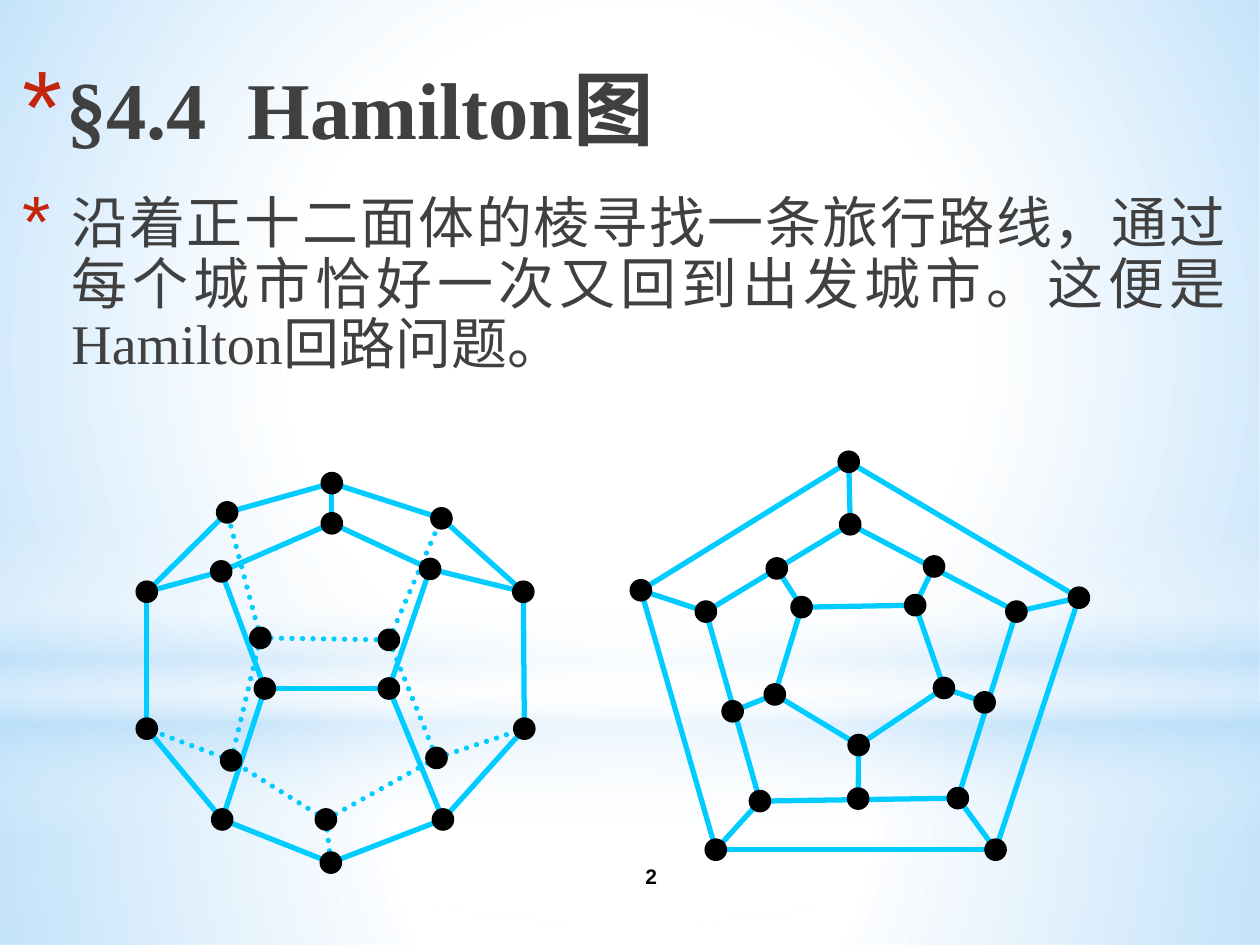
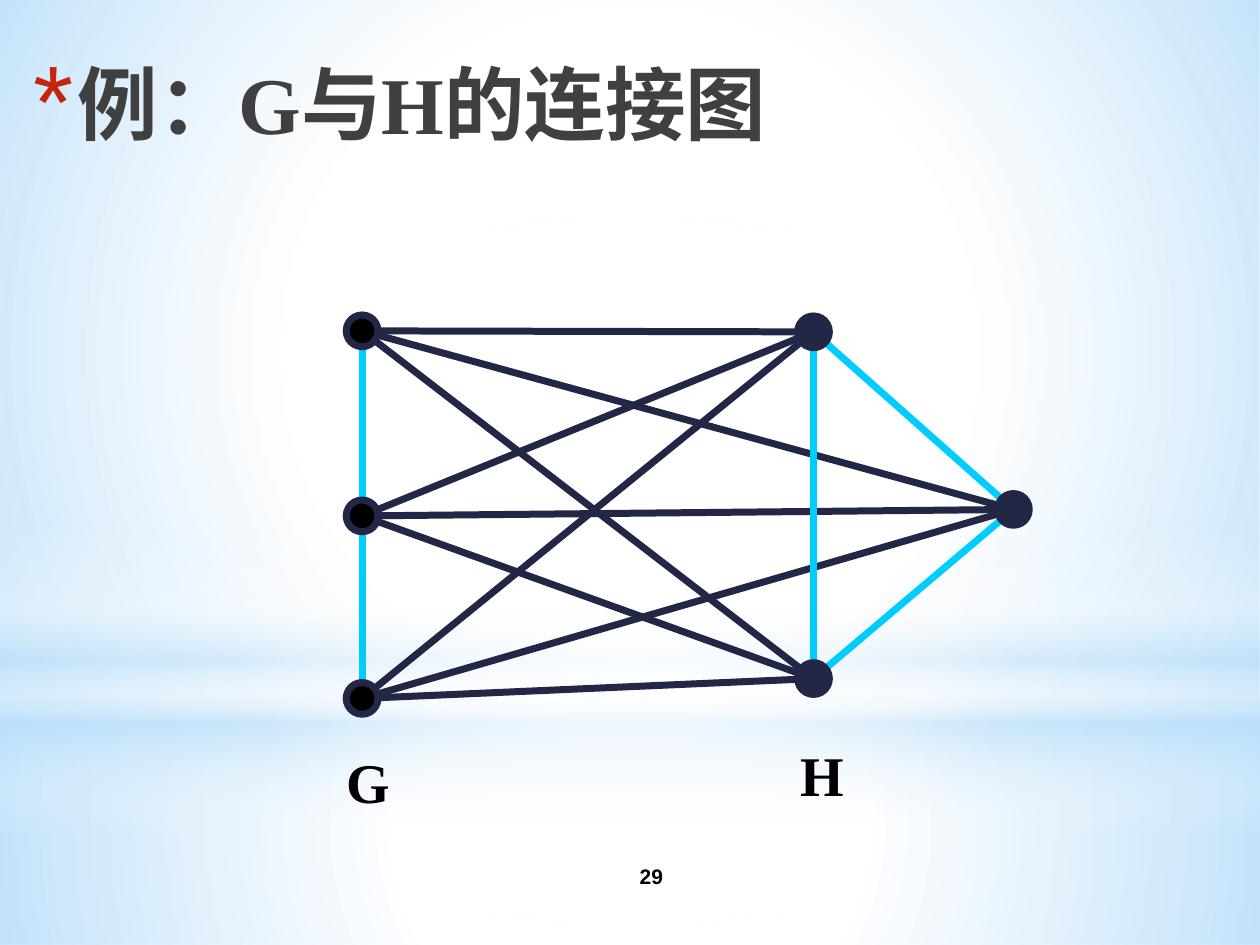
from itertools import product

from lxml import etree
from pptx import Presentation
from pptx.dml.color import RGBColor
from pptx.enum import dml, shapes, text
from pptx.oxml import parse_xml
from pptx.oxml.ns import nsdecls, qn
from pptx.util import Cm, Pt

COLORS = {"white": "FFFFFF", "sky": "B4DCFA", "bullet": "C3260C", "text": "404040",
          "black": "000000", "cyan": "00CCFF", "navy": "212745"}
LATIN, CJK = "Times New Roman", "Noto Sans CJK SC"


def rgb(name):
    return RGBColor.from_string(COLORS[name])


def write(slide, runs, box, size, font=LATIN, color="text", bold=False, align=None,
          anchor="TOP", spacing=None, wrap=True, bullet=None):
    """Add one paragraph; runs is a string or (string, font) pairs, bullet is (indent cm, size %)."""
    tf = slide.shapes.add_textbox(*[Cm(v) for v in box]).text_frame
    tf.word_wrap = wrap
    tf.vertical_anchor = text.MSO_ANCHOR[anchor]
    p = tf.paragraphs[0]
    if bullet:
        indent, percent = bullet
        pPr = p._p.get_or_add_pPr()
        pPr.set("marL", str(Cm(indent)))
        pPr.set("indent", str(-Cm(indent)))
        clr = etree.SubElement(pPr, qn("a:buClr"))
        etree.SubElement(clr, qn("a:srgbClr"), val=COLORS["bullet"])
        etree.SubElement(pPr, qn("a:buSzPct"), val=str(percent * 1000))
        etree.SubElement(pPr, qn("a:buFont"), typeface="Arial")
        etree.SubElement(pPr, qn("a:buChar"), char="*")
    if align:
        p.alignment = text.PP_ALIGN[align]
    if spacing:
        p.line_spacing = spacing
    for words, face in [(runs, font)] if isinstance(runs, str) else runs:
        r = p.add_run()
        r.text = words
        r.font.size, r.font.bold, r.font.name = Pt(size), bold, face
        r.font.color.rgb = rgb(color)
        etree.SubElement(r._r.get_or_add_rPr(), qn("a:ea"), typeface=CJK)


prs = Presentation()
prs.slide_width, prs.slide_height = Cm(25.4), Cm(19.05)
dodecahedron, join = [prs.slides.add_slide(prs.slide_layouts[6]) for _ in range(2)]

# Shared background on the master: (shape, box, direction, stops of position, colour, opacity)
CIRCLE = ('<a:path path="circle"><a:fillToRect l="50000" t="50000" r="50000" b="50000"/>'
          '</a:path>')
DOWN = '<a:lin ang="5400000" scaled="0"/>'
backdrop = [
    ("RECTANGLE", (0, 14.17, 25.4, 4.88), CIRCLE,
     [(0, "white", 91), (37, "white", 76), (100, "sky", 79)]),
    ("RECTANGLE", (0, 0, 25.4, 14.17), CIRCLE,
     [(0, "white", 89), (48, "white", 62), (100, "sky", 79)]),
    ("RECTANGLE", (0, 10.46, 25.4, 6.35), DOWN,
     [(0, "white", 0), (29, "white", 30), (45, "sky", 40),
      (55, "white", 26), (65, "sky", 60), (100, "white", 0)]),
    ("OVAL", (0, 4.45, 25.4, 14.17), CIRCLE, [(0, "white", 100), (56, "white", 0)]),
]
for i, (kind, box, direction, stops) in enumerate(backdrop):
    sp = dodecahedron.shapes.add_shape(shapes.MSO_SHAPE[kind], *[Cm(v) for v in box])
    sp.shadow.inherit = False
    sp.line.fill.background()
    gs = "".join(f'<a:gs pos="{pos * 1000}"><a:srgbClr val="{COLORS[c]}">'
                 f'<a:alpha val="{alpha * 1000}"/></a:srgbClr></a:gs>'
                 for pos, c, alpha in stops)
    sp.element.spPr.find(qn("a:prstGeom")).addnext(parse_xml(
        f'<a:gradFill {nsdecls("a")} rotWithShape="1"><a:gsLst>{gs}</a:gsLst>'
        f'{direction}</a:gradFill>'))
    sp.element.nvSpPr.cNvPr.set("id", str(20 + i))
    prs.slide_master.shapes.element.insert(2 + i, sp.element)

# Titles and page numbers
titles = [
    (dodecahedron, "2", (0.2, 1.07, 21.59, 2.1), "§4.4  Hamilton图"),
    (join, "29", (0.43, 0.97, 21.59, 2.29),
     [("例：G", LATIN), ("与", CJK), ("H", LATIN), ("的连接图", CJK)]),
]
for slide, number, box, title in titles:
    write(slide, number, (10.59, 17.15, 5.08, 1.02), 12, font="Arial", color="black",
          bold=True, align="CENTER", anchor="MIDDLE")
    write(slide, title, box, 46, bold=True, bullet=(0.89, 128))

write(dodecahedron,
      [("沿着正十二面体的棱寻找一条旅行路线，通过每个城市恰好一次又回到出发城市。这便是", CJK),
       ("Hamilton", LATIN), ("回路问题。", CJK)],
      (0.2, 3.81, 24.77, 4.45), 32, align="JUSTIFY", spacing=0.9, bullet=(0.99, 130))

edges = []  # slide, from, to, colour, width, dotted
dots = []   # slide, centre, diameter, fill, outline, outline width

# Each view: a ring of ten, a pentagon on its even and one on its odd vertices
solid = (
    [(6.69, 9.74), (8.9, 10.45), (10.55, 11.93), (10.57, 14.69), (8.93, 16.52),
     (6.67, 17.39), (4.48, 16.52), (2.96, 14.69), (2.96, 11.93), (4.58, 10.33)],
    [(6.69, 10.55), (8.67, 11.47), (7.84, 13.88), (5.34, 13.88), (4.46, 11.52)],
    [(7.84, 12.9), (8.8, 15.28), (6.57, 16.52), (4.66, 15.33), (5.25, 12.86)],
)
planar = (
    [(17.14, 10.57), (18.83, 11.42), (20.49, 12.33), (19.85, 14.16), (19.31, 16.09),
     (17.3, 16.1), (15.32, 16.15), (14.77, 14.34), (14.23, 12.33), (15.66, 11.46)],
    [(17.11, 9.31), (21.75, 12.05), (20.07, 17.13), (14.43, 17.13), (12.92, 11.9)],
    [(18.45, 12.2), (19.03, 13.87), (17.31, 15.02), (15.62, 14), (16.16, 12.24)],
)
for (ring, even, odd), hidden in ((solid, True), (planar, False)):
    # In the plane view the odd vertices lie on sides between even ones
    sides = ring if hidden else ring[::2]
    for cycle, dotted in ((odd, hidden), (sides, False), (even, False)):
        pairs = list(zip(cycle, cycle[1:] + cycle[:1]))
        if cycle is not sides:
            pairs += zip(cycle, ring[0 if cycle is even else 1::2])
        edges += [(dodecahedron, a, b, "cyan", 3, dotted) for a, b in pairs]
    dots += [(dodecahedron, c, 0.43, "black", "black", 0.75) for c in ring + even + odd]

# Join of the path G and the triangle H
G = [(7.3, 6.67), (7.3, 10.4), (7.3, 14.08)]
H = [(16.4, 6.69), (16.4, 13.68), (20.43, 10.27)]
edges += [(join, g, h, "navy", 4, False) for g, h in product(G, H)]
edges += [(join, a, b, "cyan", 4, False) for a, b in [*zip(G, G[1:]), *zip(H, H[1:] + H[:1])]]
for vertices, fill in ((G, "black"), (H, "navy")):
    dots += [(join, c, 0.64, fill, "navy", 4) for c in vertices]

for slide, a, b, color, width, dotted in edges:
    line = slide.shapes.add_connector(shapes.MSO_CONNECTOR.STRAIGHT,
                                      *[Cm(v) for v in a + b])
    line.line.color.rgb, line.line.width = rgb(color), Pt(width)
    if dotted:
        line.line.dash_style = dml.MSO_LINE.ROUND_DOT
        line.element.spPr.find(qn("a:ln")).set("cap", "rnd")
    etree.SubElement(line.element.spPr, qn("a:effectLst"))

for slide, (x, y), size, fill, outline, width in dots:
    sp = slide.shapes.add_shape(shapes.MSO_SHAPE.OVAL, Cm(x - size / 2), Cm(y - size / 2),
                                Cm(size), Cm(size))
    sp.shadow.inherit = False
    sp.fill.solid()
    sp.fill.fore_color.rgb = rgb(fill)
    sp.line.color.rgb, sp.line.width = rgb(outline), Pt(width)

for label, x, y in (("G", 6.73, 14.94), ("H", 15.88, 14.81)):
    write(join, label, (x, y, 1.4, 1.63), 32, color="black", bold=True, wrap=False)

prs.save("out.pptx")
